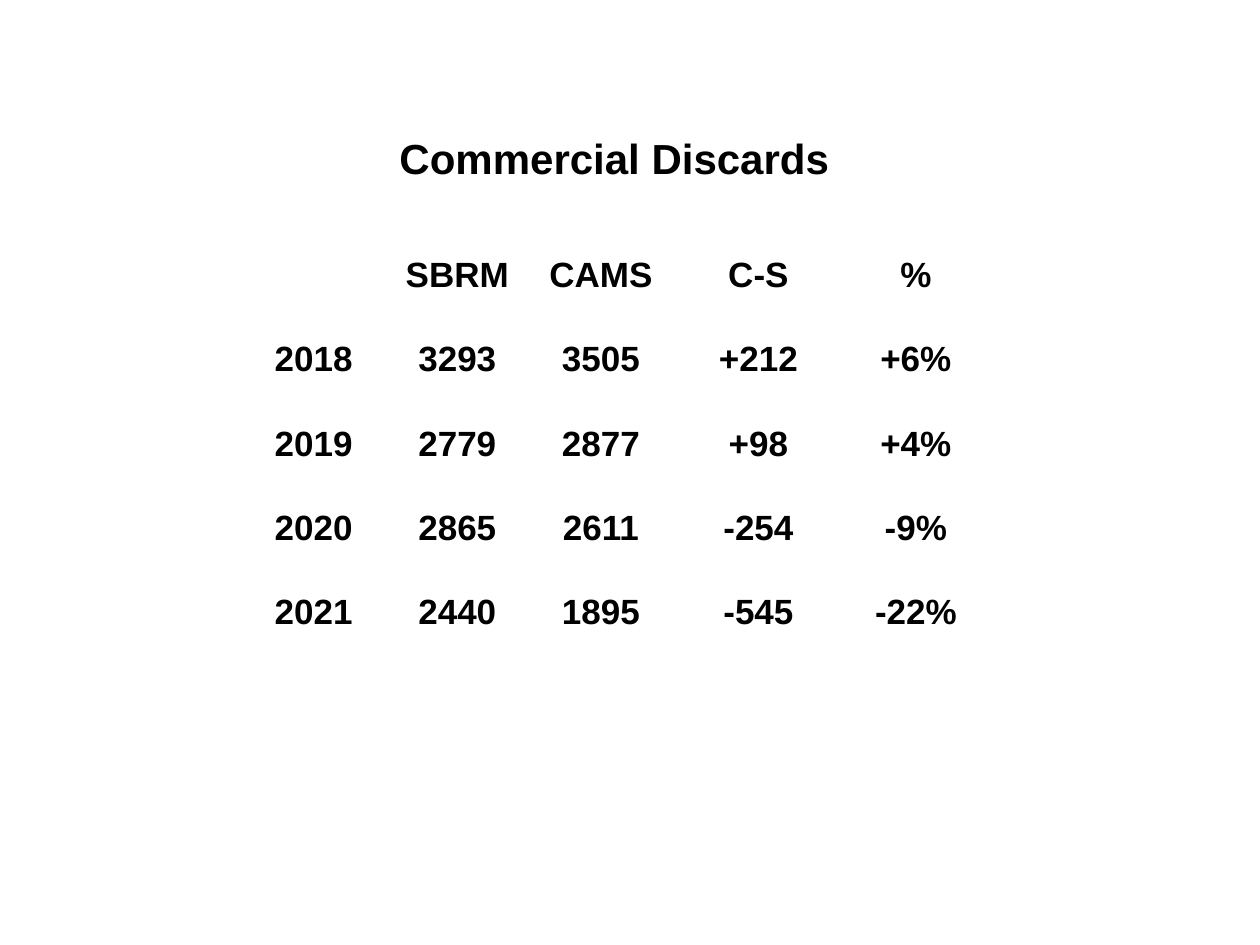
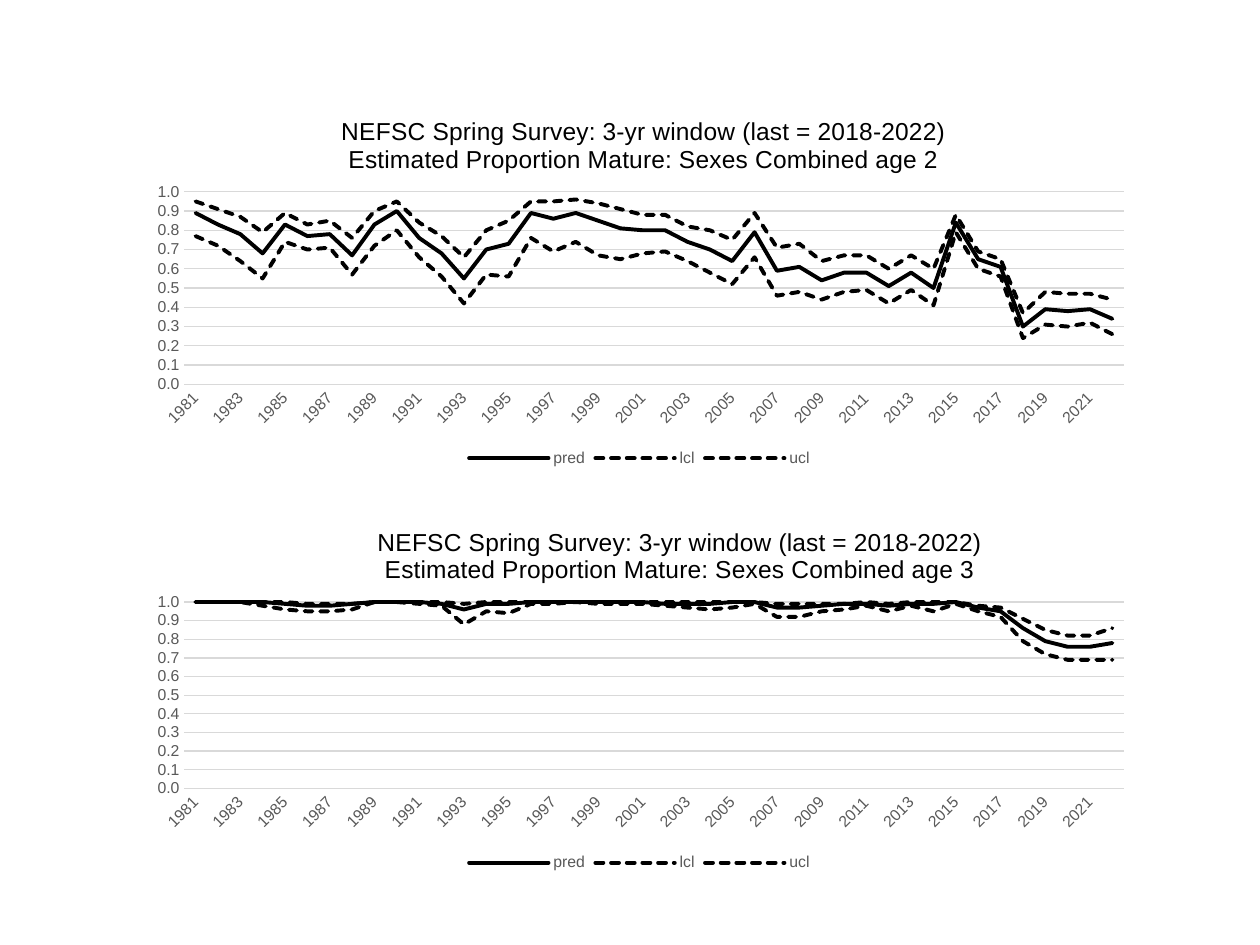
from lxml import etree
from pptx import Presentation
from pptx.chart.data import CategoryChartData
from pptx.dml.color import RGBColor
from pptx.enum.chart import XL_CHART_TYPE, XL_LEGEND_POSITION, XL_TICK_MARK
from pptx.enum.dml import MSO_LINE
from pptx.enum.text import MSO_ANCHOR, MSO_AUTO_SIZE, PP_ALIGN
from pptx.oxml import parse_xml
from pptx.oxml.ns import nsdecls, qn
from pptx.util import Pt

LINE_CHART = XL_CHART_TYPE.LINE
LEGEND_BOTTOM = XL_LEGEND_POSITION.BOTTOM
NO_TICK = XL_TICK_MARK.NONE
SOLID, DASHED = MSO_LINE.SOLID, MSO_LINE.SQUARE_DOT
BOTTOM = MSO_ANCHOR.BOTTOM
FIT_SHAPE = MSO_AUTO_SIZE.SHAPE_TO_FIT_TEXT
CENTER = PP_ALIGN.CENTER

EMU_PER_PX = 9144
FONT = "Arial"
COLORS = {"ink": "000000", "label": "595959", "grid": "D9D9D9", "border": "FFFFFF"}

DISCARDS = [
    ["", "SBRM", "CAMS", "C-S", "%"],
    ["2018", "3293", "3505", "+212", "+6%"],
    ["2019", "2779", "2877", "+98", "+4%"],
    ["2020", "2865", "2611", "-254", "-9%"],
    ["2021", "2440", "1895", "-545", "-22%"],
]
COLUMN_WIDTHS = [114, 114, 114, 136, 114]
ROW_HEIGHT = 67

YEARS = [str(year) for year in range(1981, 2023)]
AGE_2 = {
    "pred": [0.89, 0.83, 0.78, 0.68, 0.83, 0.77, 0.78, 0.67, 0.83, 0.9, 0.76,
             0.68, 0.55, 0.7, 0.73, 0.89, 0.86, 0.89, 0.85, 0.81, 0.8, 0.8,
             0.74, 0.7, 0.64, 0.79, 0.59, 0.61, 0.54, 0.58, 0.58, 0.51, 0.58,
             0.5, 0.84, 0.65, 0.61, 0.3, 0.39, 0.38, 0.39, 0.34],
    "lcl": [0.77, 0.72, 0.64, 0.55, 0.74, 0.7, 0.71, 0.57, 0.72, 0.8, 0.66,
            0.56, 0.42, 0.57, 0.56, 0.76, 0.69, 0.74, 0.67, 0.65, 0.68, 0.69,
            0.64, 0.58, 0.52, 0.66, 0.46, 0.48, 0.44, 0.48, 0.49, 0.42, 0.49,
            0.41, 0.79, 0.6, 0.56, 0.24, 0.31, 0.3, 0.32, 0.26],
    "ucl": [0.95, 0.91, 0.87, 0.79, 0.89, 0.83, 0.85, 0.76, 0.9, 0.95, 0.84,
            0.77, 0.66, 0.8, 0.85, 0.95, 0.95, 0.96, 0.94, 0.91, 0.88, 0.88,
            0.82, 0.8, 0.75, 0.89, 0.71, 0.73, 0.64, 0.67, 0.67, 0.6, 0.67,
            0.6, 0.88, 0.69, 0.65, 0.37, 0.48, 0.47, 0.47, 0.44],
}
AGE_3 = {
    "pred": [1, 1, 1, 1, 0.99, 0.98, 0.98, 0.99, 1, 1, 1,
             0.99, 0.96, 0.99, 0.99, 1, 1, 1, 1, 1, 1, 0.99,
             0.99, 0.99, 1, 1, 0.97, 0.97, 0.98, 0.99, 0.99, 0.98, 0.99,
             0.99, 1, 0.97, 0.95, 0.86, 0.79, 0.76, 0.76, 0.78],
    "lcl": [1, 1, 1, 0.98, 0.96, 0.95, 0.95, 0.96, 1, 1, 0.99,
            0.98, 0.88, 0.95, 0.94, 0.99, 0.99, 1, 0.99, 0.99, 0.99, 0.98,
            0.97, 0.96, 0.97, 0.99, 0.92, 0.92, 0.95, 0.96, 0.98, 0.95, 0.98,
            0.95, 0.99, 0.95, 0.92, 0.79, 0.72, 0.69, 0.69, 0.69],
    "ucl": [1, 1, 1, 1, 1, 0.99, 0.99, 0.99, 1, 1, 1,
            1, 0.99, 1, 1, 1, 1, 1, 1, 1, 1, 1,
            1, 1, 1, 1, 0.99, 0.99, 0.99, 0.99, 1, 0.99, 1,
            1, 1, 0.98, 0.97, 0.91, 0.85, 0.82, 0.82, 0.86],
}


def px(length):
    """Turn px into EMU."""
    return round(length * EMU_PER_PX)


def rgb(name):
    """Look up a named colour."""
    return RGBColor.from_string(COLORS[name])


def style_font(font, size, color="ink", bold=False):
    """Set the shared typeface with a size, colour and weight."""
    font.name, font.size, font.bold = FONT, Pt(size), bold
    font.color.rgb = rgb(color)


def write_text(frame, text, align=CENTER, **style):
    """Fill a text frame, one paragraph a line."""
    frame.text = text
    for para in frame.paragraphs:
        para.alignment = align
        for span in para.runs:
            style_font(span.font, **style)


def style_line(line, color, width):
    """Colour a line and set its width in points."""
    line.color.rgb = rgb(color)
    line.width = Pt(width)


def add_heading(page, box, text):
    """Add a bold heading centred in its box."""
    frame = page.shapes.add_textbox(*map(px, box)).text_frame
    frame.word_wrap = False
    frame.auto_size = FIT_SHAPE
    write_text(frame, text, size=24, bold=True)


def add_cell_borders(cell):
    """Draw a thin border on the four sides of a cell."""
    props = cell._tc.get_or_add_tcPr()
    for position, side in enumerate("LRTB"):
        props.insert(position, parse_xml(
            f'<a:ln{side} {nsdecls("a")} w="12700"><a:solidFill>'
            f'<a:srgbClr val="{COLORS["border"]}"/></a:solidFill></a:ln{side}>'))


def add_discard_table(page, left, top):
    """Add the table of discards by year."""
    size = sum(COLUMN_WIDTHS), ROW_HEIGHT * len(DISCARDS)
    table = page.shapes.add_table(
        len(DISCARDS), len(COLUMN_WIDTHS), *map(px, (left, top, *size))).table
    table.first_row = table.horz_banding = False
    for column, width in zip(table.columns, COLUMN_WIDTHS):
        column.width = px(width)
    for row, values in zip(table.rows, DISCARDS):
        row.height = px(ROW_HEIGHT)
        for cell, value in zip(row.cells, values):
            cell.margin_left = cell.margin_right = cell.margin_top = px(1)
            cell.margin_bottom = 0
            cell.vertical_anchor = BOTTOM
            write_text(cell.text_frame, value, size=20, bold=True)
            add_cell_borders(cell)
            cell.fill.background()


def set_layout(element, position, inner=False, **fractions):
    """Place a chart part by fractions of the chart's size."""
    for old in element.findall(qn("c:layout")):
        element.remove(old)
    layout = parse_xml(f'<c:layout {nsdecls("c")}><c:manualLayout/></c:layout>')
    values = {"layoutTarget": "inner"} if inner else {}
    values.update(xMode="edge", yMode="edge", **fractions)
    for name, value in values.items():
        etree.SubElement(layout[0], qn(f"c:{name}")).set("val", str(value))
    element.insert(position, layout)


def style_axes(chart):
    """Format the year axis and the proportion axis."""
    years, proportion = chart.category_axis, chart.value_axis
    for axis in (years, proportion):
        axis.major_tick_mark = axis.minor_tick_mark = NO_TICK
        style_font(axis.tick_labels.font, 9, "label")
    style_line(years.format.line, "grid", 0.75)
    years._element.find(qn("c:txPr")).find(qn("a:bodyPr")).set("rot", "-2700000")
    proportion.minimum_scale, proportion.maximum_scale = 0, 1
    proportion.major_unit = 0.1
    proportion.tick_labels.number_format = "#,##0.0"
    proportion.tick_labels.number_format_is_linked = False
    proportion.format.line.fill.background()
    style_line(proportion.major_gridlines.format.line, "grid", 0.75)


def add_maturity_chart(page, box, age, data, title_x, plot_y, plot_h):
    """Add the line chart of the proportion mature at one age."""
    chart_data = CategoryChartData(number_format="0.00")
    chart_data.categories = YEARS
    for name, values in data.items():
        chart_data.add_series(name, values)
    chart = page.shapes.add_chart(LINE_CHART, *map(px, box), chart_data).chart
    style_font(chart.font, 10)
    write_text(chart.chart_title.text_frame,
               "NEFSC Spring Survey: 3-yr window (last = 2018-2022)\n"
               f"Estimated Proportion Mature: Sexes Combined age {age}", size=14)
    set_layout(chart.chart_title._element, 1, x=title_x, y=0.05)
    set_layout(chart._chartSpace.chart.plotArea, 0, inner=True,
               x=0.048, y=plot_y, w=0.933, h=plot_h)
    style_axes(chart)
    chart.has_legend = True
    chart.legend.position = LEGEND_BOTTOM
    chart.legend.include_in_layout = False
    style_font(chart.legend.font, 9, "label")
    chart.plots[0].vary_by_categories = False
    for series in chart.plots[0].series:
        series.smooth = False
        line = series.format.line
        style_line(line, "ink", 2.25)
        line.dash_style = SOLID if series.name == "pred" else DASHED
        series._element.spPr.find(qn("a:ln")).set("cap", "rnd")


def build_discards(page):
    """Build the slide on commercial discards."""
    add_discard_table(page, 192, 167)
    add_heading(page, (305, 100, 365, 50), "Commercial Discards")


def build_maturity(page):
    """Build the slide with one maturity chart per age."""
    add_maturity_chart(page, (108, 74, 799, 301), 2, AGE_2, 0.2, 0.26, 0.508)
    add_maturity_chart(page, (108, 400, 799, 296), 3, AGE_3, 0.236, 0.263, 0.5)


def main():
    """Build the deck and save it."""
    deck = Presentation()
    deck.slide_width, deck.slide_height = px(1000), px(750)
    for build in (build_discards, build_maturity):
        build(deck.slides.add_slide(deck.slide_layouts[6]))
    deck.save("out.pptx")


if __name__ == "__main__":
    main()
